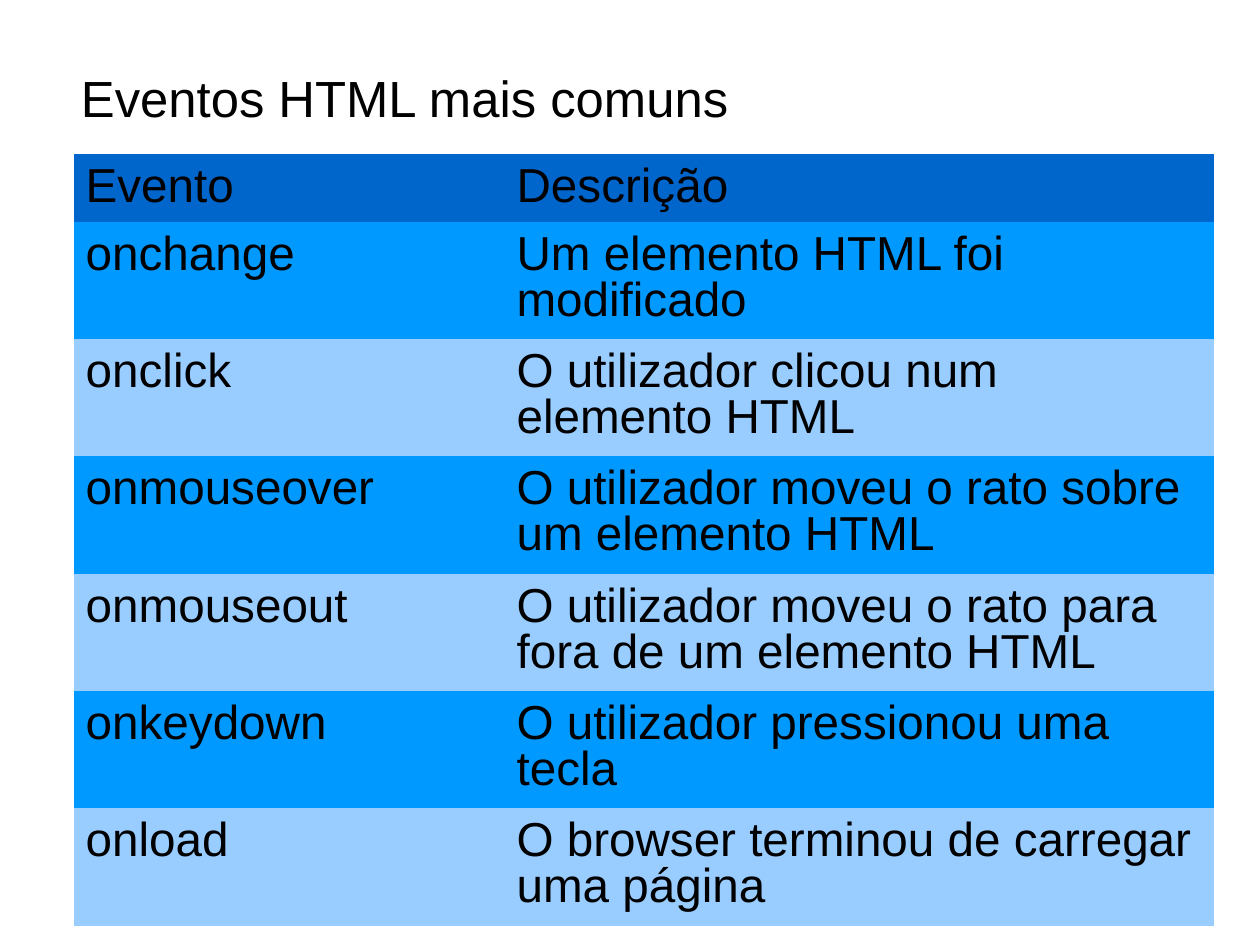
from pptx import Presentation
from pptx.dml.color import RGBColor
from pptx.enum.text import MSO_ANCHOR
from pptx.oxml.ns import qn
from pptx.util import Inches, Pt
from lxml.etree import SubElement

FONT = "Arial"
BLACK = RGBColor(0x00, 0x00, 0x00)
HEADER_BLUE = RGBColor(0x00, 0x66, 0xCC)
ROW_BLUES = (RGBColor(0x00, 0x99, 0xFF), RGBColor(0x99, 0xCC, 0xFF))
HAIRLINE = Pt(0.03)

# Slide of 28 by 21 cm, in inches
SLIDE_WIDTH, SLIDE_HEIGHT = 28 / 2.54, 21 / 2.54
TABLE_HEIGHT, HEADER_HEIGHT = 6.75, 0.59
COLUMN_WIDTHS = (3.77, 6.2)

EVENTS = [
    ("Evento", "Descrição"),
    ("onchange", "Um elemento HTML foi modificado"),
    ("onclick", "O utilizador clicou num elemento HTML"),
    ("onmouseover", "O utilizador moveu o rato sobre um elemento HTML"),
    ("onmouseout", "O utilizador moveu o rato para fora de um elemento HTML"),
    ("onkeydown", "O utilizador pressionou uma tecla"),
    ("onload", "O browser terminou de carregar uma página"),
]


def write(frame, text, size, line_spacing):
    frame.word_wrap = True
    paragraph = frame.paragraphs[0]
    paragraph.text = text
    paragraph.line_spacing = line_spacing
    paragraph.font.name = FONT
    paragraph.font.size = Pt(size)
    paragraph.font.color.rgb = BLACK


def add_title(slide, text):
    title = slide.shapes.add_textbox(Inches(0.61), Inches(0.58), Inches(9.82), Inches(4.81))
    title.text_frame.vertical_anchor = MSO_ANCHOR.TOP
    write(title.text_frame, text, 32, 0.93)


def set_borders(cell):
    """Give the cell white hairlines on all four sides."""
    properties = cell._tc.get_or_add_tcPr()
    for side in ("a:lnL", "a:lnR", "a:lnT", "a:lnB"):
        line = SubElement(properties, qn(side), w=str(int(HAIRLINE)))
        fill = SubElement(line, qn("a:solidFill"))
        SubElement(fill, qn("a:srgbClr"), val="FFFFFF")


def style_cell(cell, text, color):
    cell.margin_left = cell.margin_right = cell.margin_top = Inches(0.1)
    cell.margin_bottom = Inches(0.05)
    cell.vertical_anchor = MSO_ANCHOR.TOP
    set_borders(cell)
    cell.fill.solid()
    cell.fill.fore_color.rgb = color
    write(cell.text_frame, text, 30, 0.87)


def add_event_table(slide, events):
    table = slide.shapes.add_table(len(events), len(COLUMN_WIDTHS), Inches(0.65), Inches(1.35),
                                   Inches(sum(COLUMN_WIDTHS)), Inches(TABLE_HEIGHT)).table
    table.horz_banding = False
    table.first_row = False
    for column, width in zip(table.columns, COLUMN_WIDTHS):
        column.width = Inches(width)

    # Header row, then equal rows in alternating blues
    event_height = (TABLE_HEIGHT - HEADER_HEIGHT) / (len(events) - 1)
    for index, (row, texts) in enumerate(zip(table.rows, events)):
        row.height = Inches(event_height if index else HEADER_HEIGHT)
        color = ROW_BLUES[(index - 1) % 2] if index else HEADER_BLUE
        for cell, text in zip(row.cells, texts):
            style_cell(cell, text, color)


def main():
    deck = Presentation()
    deck.slide_width = Inches(SLIDE_WIDTH)
    deck.slide_height = Inches(SLIDE_HEIGHT)
    slide = deck.slides.add_slide(deck.slide_layouts[6])
    add_title(slide, "Eventos HTML mais comuns")
    add_event_table(slide, EVENTS)
    deck.save("out.pptx")


if __name__ == "__main__":
    main()
